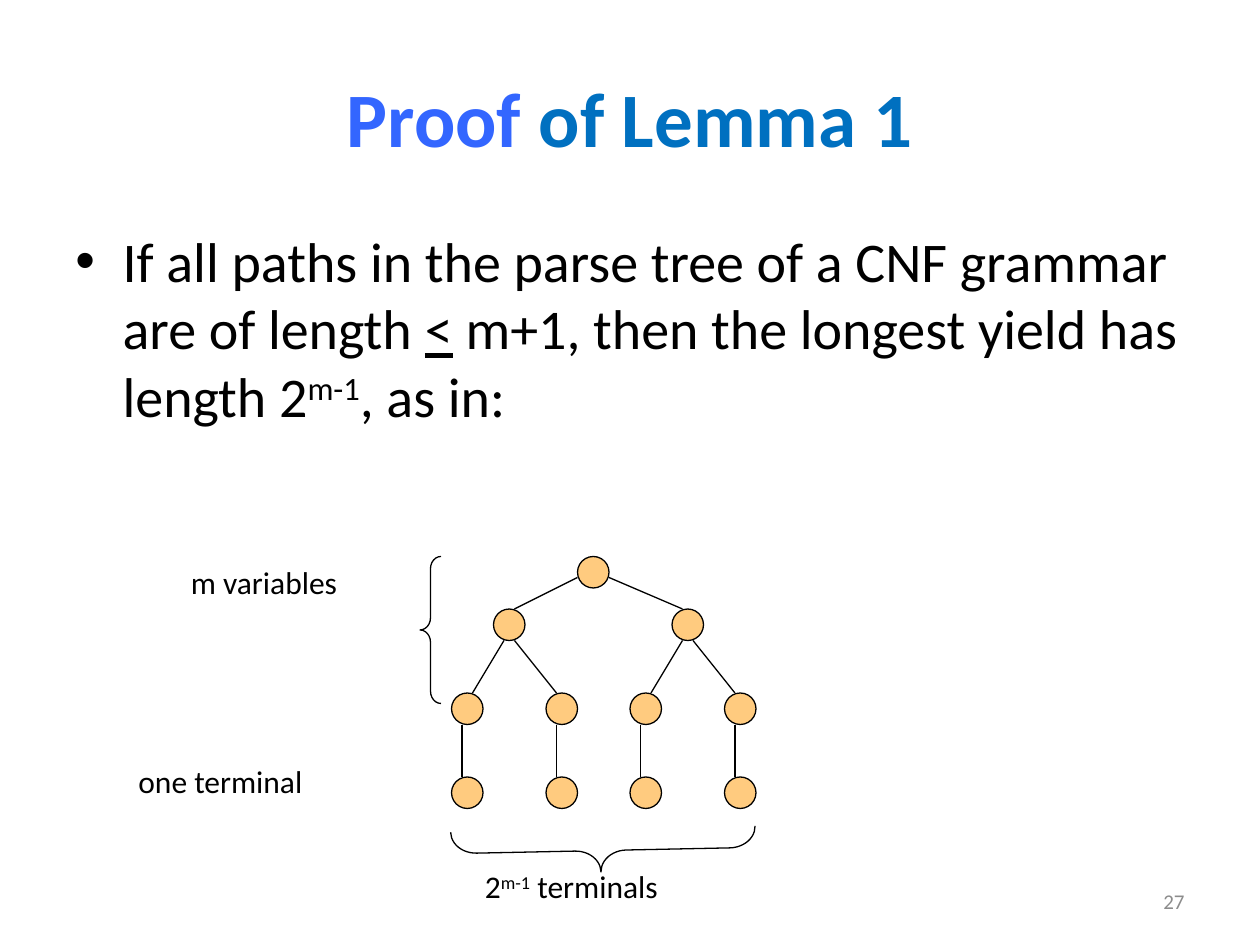
import pptx
import pptx.dml.color
import pptx.enum.shapes
import pptx.enum.text
import pptx.oxml
import pptx.oxml.ns
import pptx.util

Pt = pptx.util.Pt
ALIGN = pptx.enum.text.PP_ALIGN
ANCHOR = pptx.enum.text.MSO_ANCHOR
SHAPE = pptx.enum.shapes.MSO_SHAPE
STRAIGHT = pptx.enum.shapes.MSO_CONNECTOR.STRAIGHT
NAMESPACE = pptx.oxml.ns.nsdecls("a")

NODE_SIZE = 18
LEVEL_TOPS = [0, 30, 78, 126]
LEVEL_LEFTS = [[72], [24, 126], [0, 54, 102, 156], [0, 54, 102, 156]]


def color(value):
    return pptx.dml.color.RGBColor.from_string(value)


def add_run(paragraph, text, size, hex_color="000000", baseline=None, **formats):
    run = paragraph.add_run()
    run.text = text
    values = {"name": "Calibri", "size": Pt(size), **formats}
    for name, value in values.items():
        setattr(run.font, name, value)
    run.font.color.rgb = color(hex_color)
    if baseline:
        run._r.get_or_add_rPr().set("baseline", str(baseline * 1000))


def add_text_box(slide, box, anchor=ANCHOR.TOP, alignment=ALIGN.LEFT):
    frame = slide.shapes.add_textbox(*map(Pt, box)).text_frame
    frame.word_wrap = True
    frame.vertical_anchor = anchor
    paragraph = frame.paragraphs[0]
    paragraph.alignment = alignment
    return paragraph


def style_line(shape):
    shape.line.color.rgb = color("000000")
    shape.line.width = Pt(0.75)


def add_title(slide, box):
    title = slide.shapes.title
    title.left, title.top, title.width, title.height = map(Pt, box)
    title.text_frame.vertical_anchor = ANCHOR.MIDDLE
    paragraph = title.text_frame.paragraphs[0]
    paragraph.alignment = ALIGN.CENTER
    add_run(paragraph, "Proof", 44, "3366FF", bold=True)
    add_run(paragraph, " of Lemma 1", 44, "0070C0", bold=True)


def add_statement(slide, box):
    paragraph = add_text_box(slide, box)
    properties = paragraph._p.get_or_add_pPr()
    properties.set("marL", str(Pt(27)))
    properties.set("indent", str(Pt(-27)))
    for bullet in ('<a:buFont %s typeface="Arial"/>', '<a:buChar %s char="•"/>'):
        properties.append(pptx.oxml.parse_xml(bullet % NAMESPACE))
    add_run(paragraph, "If all paths in the parse tree of a CNF grammar are of length ", 32)
    add_run(paragraph, "<", 32, underline=True)
    add_run(paragraph, " m+1, then the longest yield has length 2", 32)
    add_run(paragraph, "m-1", 32, baseline=30)
    add_run(paragraph, ", as in:", 32)


def add_node(slide, left, top):
    node = slide.shapes.add_shape(SHAPE.OVAL, *map(Pt, (left, top, NODE_SIZE, NODE_SIZE)))
    node.shadow.inherit = False
    node.fill.solid()
    node.fill.fore_color.rgb = color("FF9900")
    fill_color = node._element.spPr.find(".//" + pptx.oxml.ns.qn("a:srgbClr"))
    fill_color.append(pptx.oxml.parse_xml('<a:alpha %s val="50000"/>' % NAMESPACE))
    style_line(node)


def add_edge(slide, start, end):
    edge = slide.shapes.add_connector(STRAIGHT, *map(Pt, (*start, *end)))
    style_line(edge)
    edge._element.spPr.append(pptx.oxml.parse_xml("<a:effectLst %s/>" % NAMESPACE))


def add_tree(slide, box):
    left, top = box[:2]
    levels = [
        [(left + x, top + y) for x in lefts]
        for lefts, y in zip(LEVEL_LEFTS, LEVEL_TOPS)
    ]
    for level in levels:
        for node in level:
            add_node(slide, *node)
    root_ports = [(0, 12), (18, 12)]
    inner_ports = [(6, 18), (12, 18)]
    for depth, ports in enumerate([root_ports, inner_ports]):
        for index, (x, y) in enumerate(levels[depth]):
            children = levels[depth + 1][2 * index:2 * index + 2]
            for port, child, offset in zip(ports, children, (12, 6)):
                add_edge(slide, (x + port[0], y + port[1]), (child[0] + offset, child[1]))
    for variable, terminal in zip(levels[2], levels[3]):
        add_edge(slide, (variable[0] + 6, variable[1] + NODE_SIZE), (terminal[0] + 6, terminal[1]))


def add_brace(slide, box, adjustments, rotation=0):
    brace = slide.shapes.add_shape(SHAPE.LEFT_BRACE, *map(Pt, box))
    brace.shadow.inherit = False
    brace.fill.background()
    style_line(brace)
    brace.rotation = rotation
    for index, value in enumerate(adjustments):
        brace.adjustments[index] = value


def add_annotations(slide, box):
    left, top = box[:2]
    add_run(add_text_box(slide, (left, top, 135, 36)), "m variables", 18)
    add_run(add_text_box(slide, (left - 30, top + 114, 148, 36)), "one terminal", 18)
    paragraph = add_text_box(slide, (left + 168, top + 174, 160, 36))
    add_run(paragraph, "2", 18)
    add_run(paragraph, "m-1", 18, baseline=30)
    add_run(paragraph, " terminals", 18)
    add_brace(slide, (left + 138, top, 12, 84), (0.583, 0.5))
    add_brace(slide, (left + 230.5, top + 81, 24.5, 174), (0.598, 0.491), 268.8)


def add_slide_number(slide, box):
    paragraph = add_text_box(slide, box, ANCHOR.MIDDLE, ALIGN.RIGHT)
    add_run(paragraph, "27", 12, "8C8C8C")


def main():
    presentation = pptx.Presentation()
    presentation.slide_width = Pt(720)
    presentation.slide_height = Pt(540)
    slide = presentation.slides.add_slide(presentation.slide_layouts.get_by_name("Title Only"))
    add_title(slide, (36, 21.6, 648, 90))
    add_statement(slide, (36, 126, 648, 356.4))
    add_tree(slide, (258, 318, 174, 144))
    add_annotations(slide, (102, 318, 330, 210))
    add_slide_number(slide, (516, 500.5, 168, 28.8))
    presentation.save("out.pptx")


if __name__ == "__main__":
    main()
